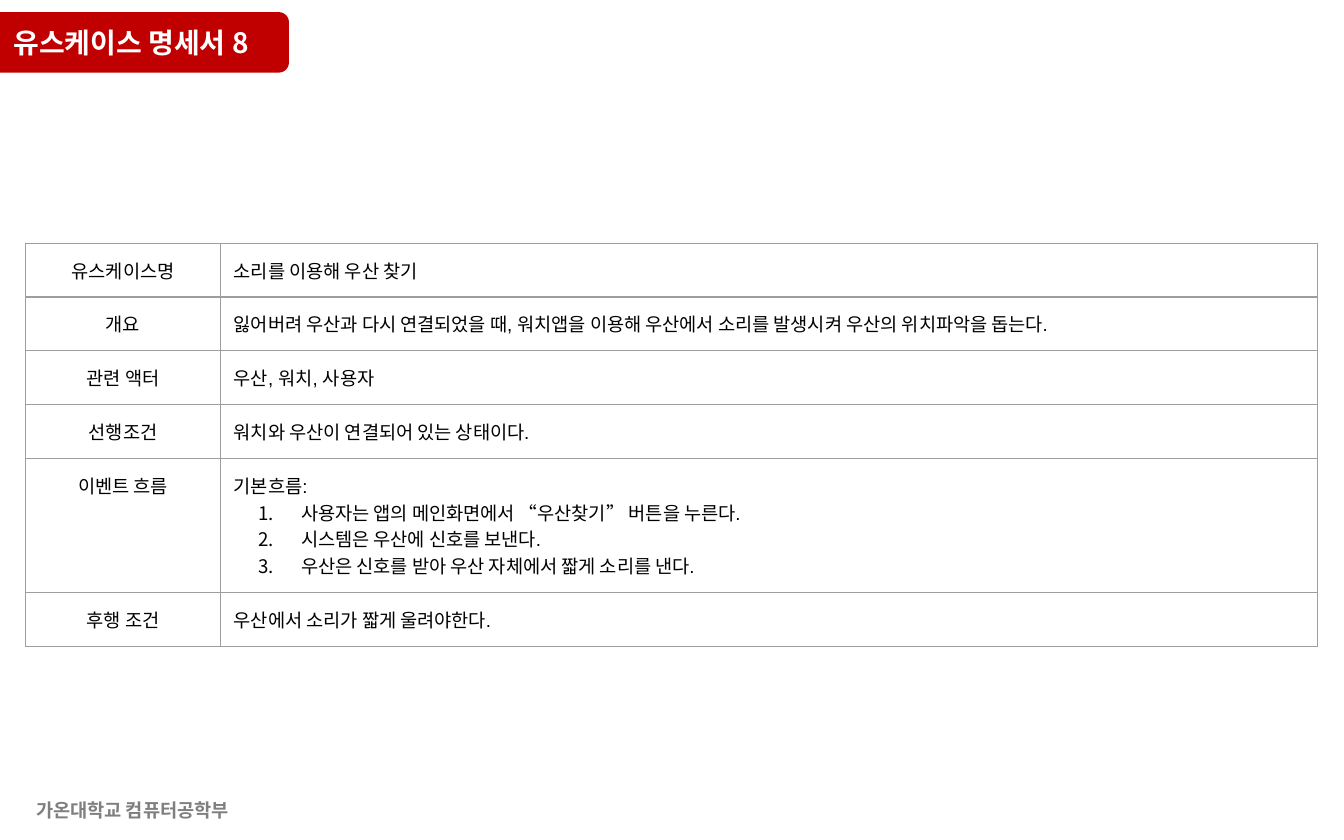
from lxml import etree
from pptx import Presentation, util as u
from pptx.dml.color import RGBColor
from pptx.enum import shapes, text
from pptx.oxml import ns

SLIDE_W, SLIDE_H = 10, 6.25
COLORS = {"badge": "C00000", "title": "FFFFFF", "footer": "7F7F7F",
          "body": "000000", "border": "9E9E9E"}
KOREAN, LATIN = "Noto Sans CJK KR", "Arial"
BADGE_TOP, BADGE_H = 0.09, 0.45
LINE_H, PAD = 0.2, 0.1
COLUMNS = (1.45, 8.16)
USE_CASE = [
    ("유스케이스명", ["소리를 이용해 우산 찾기"]),
    ("개요", ["잃어버려 우산과 다시 연결되었을 때, 워치앱을 이용해 "
              "우산에서 소리를 발생시켜 우산의 위치파악을 돕는다."]),
    ("관련 액터", ["우산, 워치, 사용자"]),
    ("선행조건", ["워치와 우산이 연결되어 있는 상태이다."]),
    ("이벤트 흐름", ["기본흐름:",
                  "사용자는 앱의 메인화면에서 “우산찾기” 버튼을 누른다.",
                  "시스템은 우산에 신호를 보낸다.",
                  "우산은 신호를 받아 우산 자체에서 짧게 소리를 낸다."]),
    ("후행 조건", ["우산에서 소리가 짧게 울려야한다."]),
]


def box(*lengths):
    """Convert inches to slide lengths."""
    return [u.Inches(length) for length in lengths]


def apply(target, values):
    """Set each named attribute of the target."""
    for name, value in values.items():
        setattr(target, name, value)


def add_xml(parent, tag, **attributes):
    """Append a DrawingML element and return it."""
    return etree.SubElement(parent, ns.qn(tag), attributes)


def write(paragraph, words, size, color, latin=KOREAN, bold=False,
          align=text.PP_ALIGN.LEFT):
    """Write one formatted run into a paragraph."""
    paragraph.alignment = align
    run = paragraph.add_run()
    run.text = words
    apply(run.font, {"size": u.Pt(size), "bold": bold, "name": latin})
    run.font.color.rgb = RGBColor.from_string(COLORS[color])
    add_xml(run.font._element, "a:ea", typeface=KOREAN)


def number(paragraph):
    """Turn a paragraph into a numbered step with a hanging indent."""
    props = paragraph._p.get_or_add_pPr()
    props.set("marL", str(u.Inches(0.5)))
    props.set("indent", str(u.Inches(-0.32)))
    add_xml(add_xml(props, "a:buClr"), "a:srgbClr", val=COLORS["body"])
    add_xml(props, "a:buFont", typeface=KOREAN)
    add_xml(props, "a:buAutoNum", type="arabicPeriod")


def add_badge(slide):
    """Draw the red tab behind the title."""
    badge = slide.shapes.add_shape(shapes.MSO_SHAPE.ROUNDED_RECTANGLE,
                                   *box(-0.16, BADGE_TOP, 2.31, BADGE_H))
    badge.shadow.inherit = False
    badge.fill.solid()
    badge.fill.fore_color.rgb = RGBColor.from_string(COLORS["badge"])
    badge.line.fill.background()


def place_title(slide, words):
    """Put the title placeholder on top of the badge."""
    title = slide.shapes.title
    apply(title, dict(zip(("left", "top", "width", "height"),
                          box(0, BADGE_TOP, 2.23, BADGE_H))))
    apply(title.text_frame, {"auto_size": text.MSO_AUTO_SIZE.NONE,
                             "word_wrap": True, "margin_left": u.Inches(PAD),
                             "vertical_anchor": text.MSO_ANCHOR.MIDDLE})
    write(title.text_frame.paragraphs[0], words, 15, "title", bold=True)
    slide.shapes._spTree.append(title._element)


def add_footer(slide, words):
    """Write the department at the bottom left."""
    frame = slide.shapes.add_textbox(*box(0, 5.89, 1.97, 0.27)).text_frame
    apply(frame, {"word_wrap": True,
                  "vertical_anchor": text.MSO_ANCHOR.MIDDLE})
    write(frame.paragraphs[0], words, 10, "footer", bold=True,
          align=text.PP_ALIGN.CENTER)


def format_cell(cell):
    """Give a cell its margins, clear fill and thin borders."""
    apply(cell, {f"margin_{side}": u.Inches(PAD)
                 for side in ("left", "right", "top", "bottom")})
    props = cell._tc.get_or_add_tcPr()
    for side in "LRTB":
        line = add_xml(props, f"a:ln{side}", w=str(u.Pt(0.75)))
        add_xml(add_xml(line, "a:solidFill"), "a:srgbClr",
                val=COLORS["border"])
    cell.fill.background()


def add_use_case(slide):
    """Build the table, with row heights that follow the line counts."""
    heights = [LINE_H * len(lines) + 2 * PAD for _, lines in USE_CASE]
    table = slide.shapes.add_table(
        len(USE_CASE), len(COLUMNS),
        *box(0.19, 1.81, sum(COLUMNS), sum(heights))).table
    apply(table, {"first_row": False, "horz_banding": False})
    for column, width in zip(table.columns, COLUMNS):
        column.width = u.Inches(width)
    for row, height, (label, lines) in zip(table.rows, heights, USE_CASE):
        row.height = u.Inches(height)
        label_cell, detail_cell = row.cells
        for cell in row.cells:
            format_cell(cell)
        write(label_cell.text_frame.paragraphs[0], label, 10, "body", LATIN,
              align=text.PP_ALIGN.CENTER)
        frame = detail_cell.text_frame
        for index, line in enumerate(lines):
            paragraph = frame.add_paragraph() if index else frame.paragraphs[0]
            write(paragraph, line, 10, "body", LATIN)
            if index:
                number(paragraph)


def main():
    """Build and save the slide."""
    deck = Presentation()
    deck.slide_width, deck.slide_height = box(SLIDE_W, SLIDE_H)
    slide = deck.slides.add_slide(deck.slide_layouts[5])
    add_badge(slide)
    add_footer(slide, "가온대학교 컴퓨터공학부")
    add_use_case(slide)
    place_title(slide, "유스케이스 명세서 8")
    deck.save("out.pptx")


main()
